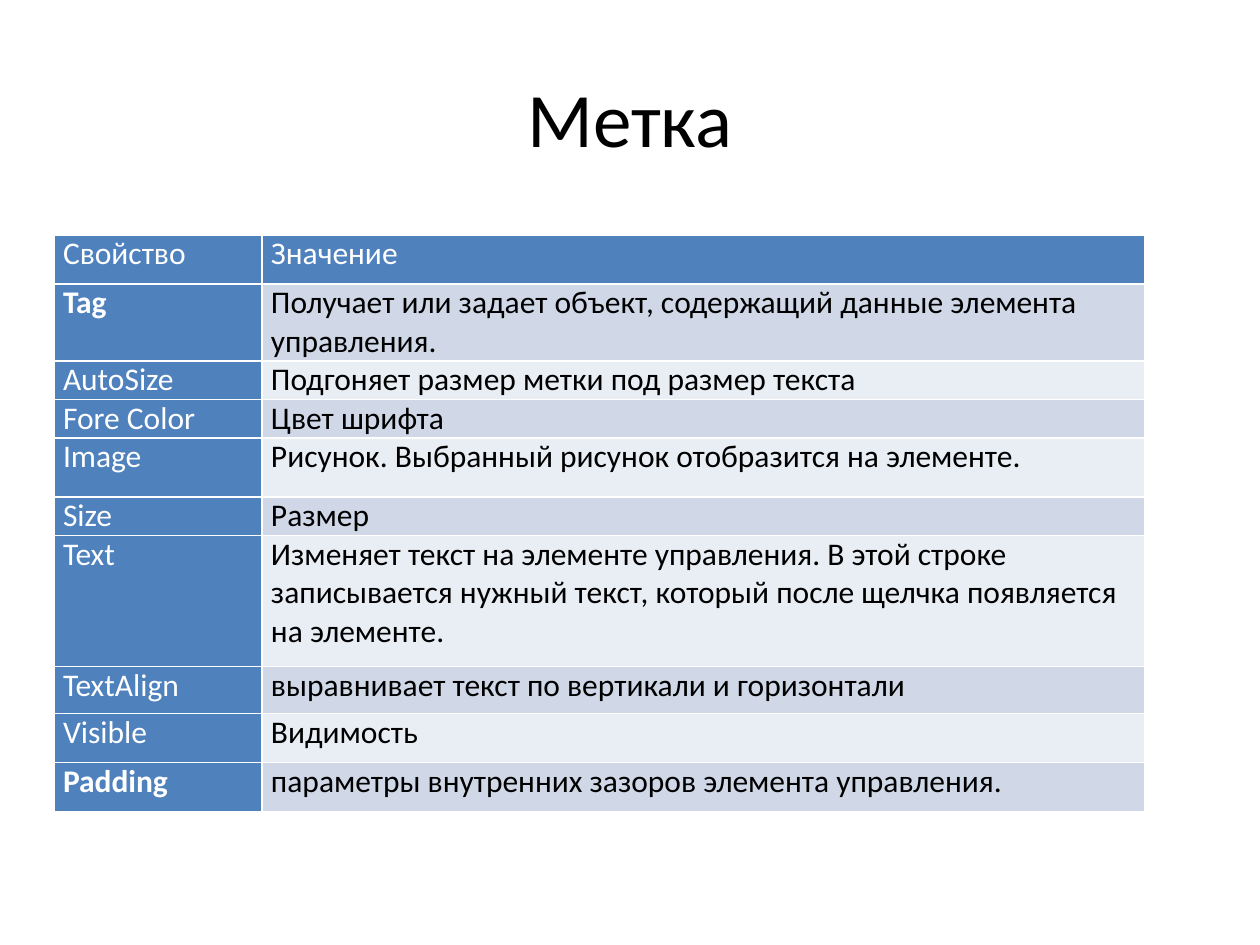
from dataclasses import dataclass

from lxml.etree import SubElement
from pptx import Presentation
from pptx.dml.color import RGBColor
from pptx.enum.text import MSO_ANCHOR as Anchor, PP_ALIGN as Align
from pptx.oxml.ns import qn
from pptx.util import Emu, Pt


@dataclass(frozen=True)
class Theme:
    font: str = "Calibri"
    title_size: int = 44
    cell_size: int = 18
    black: str = "000000"
    white: str = "FFFFFF"
    accent: str = "4F81BD"
    bands: tuple = ("D0D8E8", "E9EDF4")


theme = Theme()
PX_PER_INCH = 126


def px(count):
    return Emu(round(count * 914400 / PX_PER_INCH))


def format_text(frame, size, color, bold=False):
    for para in frame.paragraphs:
        for span in para.runs:
            span.font.name = theme.font
            span.font.size = Pt(size)
            span.font.bold = bold
            span.font.color.rgb = RGBColor.from_string(color)


deck = Presentation()
deck.slide_width, deck.slide_height = px(1260), px(945)
page = deck.slides.add_slide(deck.slide_layouts[5])

title = page.shapes.title
title.left, title.top, title.width, title.height = px(63), px(38), px(1134), px(157)
title.text_frame.text = "Метка"
title.text_frame.vertical_anchor = Anchor.MIDDLE
title.text_frame.paragraphs[0].alignment = Align.CENTER
format_text(title.text_frame, theme.title_size, theme.black)

properties = [
    ("Свойство", "Значение", 49),
    ("Tag", "Получает или задает объект, содержащий данные элемента управления.", 77),
    ("AutoSize", "Подгоняет размер метки под размер текста", 38),
    ("Fore Color", "Цвет шрифта", 38),
    ("Image", "Рисунок. Выбранный рисунок отобразится на элементе.", 59),
    ("Size", "Размер", 38),
    ("Text", "Изменяет текст на элементе управления. В этой строке записывается "
             "нужный текст, который после щелчка появляется на элементе.", 131),
    ("TextAlign", "выравнивает текст по вертикали и горизонтали", 47),
    ("Visible", "Видимость", 49),
    ("Padding", "параметры внутренних зазоров элемента управления.", 49),
]
bold_names = {"Tag", "Padding"}
column_widths = (208, 883)
table_height = sum(height for _, _, height in properties)

table = page.shapes.add_table(
    len(properties), len(column_widths), px(54), px(235), px(sum(column_widths)), px(table_height)
).table
for column, width in zip(table.columns, column_widths):
    column.width = px(width)

for row_index, (name, value, height) in enumerate(properties):
    table.rows[row_index].height = px(height)
    for column_index, text in enumerate((name, value)):
        cell = table.cell(row_index, column_index)
        is_heading = row_index == 0 or column_index == 0
        cell.text_frame.text = text
        cell.vertical_anchor = Anchor.TOP
        cell.margin_left = cell.margin_right = px(9)
        cell.margin_top = cell.margin_bottom = 0
        format_text(
            cell.text_frame,
            theme.cell_size,
            theme.white if is_heading else theme.black,
            text in bold_names,
        )

        cell_properties = cell._tc.get_or_add_tcPr()
        for side in ("a:lnL", "a:lnR", "a:lnT", "a:lnB"):
            border = SubElement(cell_properties, qn(side), w=str(Pt(1)))
            border_fill = SubElement(border, qn("a:solidFill"))
            SubElement(border_fill, qn("a:srgbClr"), val=theme.white)

        fill_color = theme.accent if is_heading else theme.bands[(row_index - 1) % 2]
        cell.fill.solid()
        cell.fill.fore_color.rgb = RGBColor.from_string(fill_color)

deck.save("out.pptx")
